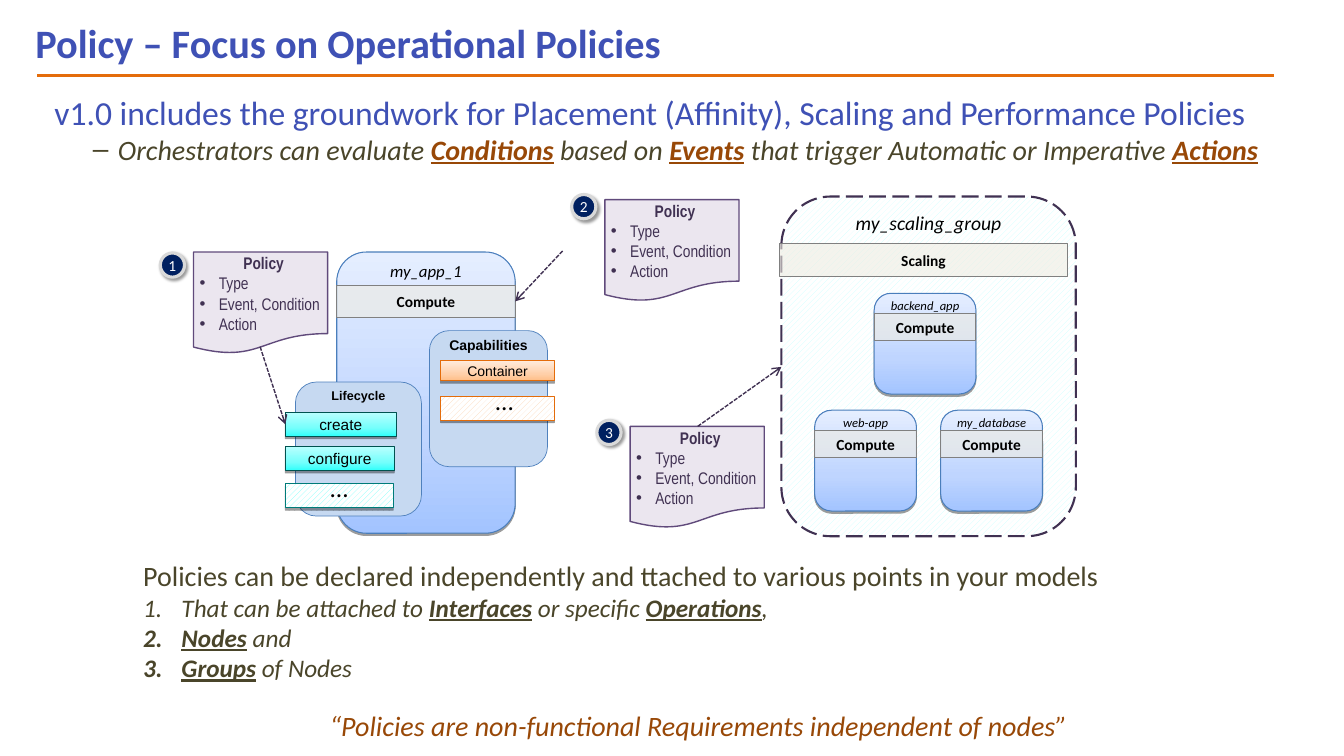
from copy import deepcopy
from dataclasses import dataclass

from lxml.etree import SubElement
from pptx import Presentation
from pptx.dml.color import RGBColor
from pptx.enum.dml import MSO_LINE, MSO_PATTERN
from pptx.enum.shapes import MSO_CONNECTOR, MSO_SHAPE
from pptx.enum.text import MSO_ANCHOR, MSO_AUTO_SIZE, PP_ALIGN
from pptx.oxml.ns import qn
from pptx.util import Inches, Pt


@dataclass(frozen=True)
class Theme:
    blue = "3F51B5"
    orange = "E46C0A"
    rust = "984807"
    olive = "4A452A"
    plum = "403152"
    black = "000000"
    white = "FFFFFF"
    navy = "002060"
    badge_ring = "D9D9D9"
    note_fill, note_line = "E6E0EC", "604A7B"
    bar_fill, bar_line = "EEECE1", "808080"
    panel_fill, panel_line = "C6D9F1", "4F81BD"
    node_line = "4A7EBB"
    node_shades = ("A3C4FF", "BFD5FF", "E5EEFF")
    orange_shades, orange_stripe = ("FFBE86", "FFD0AA", "FFEBDB"), "FCD5B5"
    cyan_shades, cyan_stripe = ("2FFFFB", "75FFFC", "BAFFFE"), "75FFFC"
    cyan_line, cyan_stripe_line = "005250", "007B79"
    group_stripe = "CCFFFF"
    title, lead, body, points = 28.8, 24, 20, 18
    group, note, label, small, tiny = 14, 12, 11, 10, 9
    font, sans, narrow = "Calibri", "Arial", "Arial Narrow"


theme = Theme()
CELL = 0.1  # inches in one grid column or row
LOW_SHADOW = dict(alpha=38, blur=0, distance=1.6, angle=90)
ROUND_SHADOW = dict(alpha=40, blur=2, distance=2, angle=45)


@dataclass(frozen=True)
class Box:
    """A rectangle in grid columns and rows."""
    column: float
    row: float
    columns: float
    rows: float

    def inner(self, column, row, columns, rows):
        return Box(self.column + column, self.row + row, columns, rows)

    def lengths(self):
        return [Inches(cells * CELL) for cells in (self.column, self.row, self.columns, self.rows)]


def color(value):
    return RGBColor.from_string(value)


def write(shape, text, size, ink, font=theme.font, bold=False, italic=False, align=PP_ALIGN.LEFT,
          level=0, bullet=None, indent=0.0, hanging=0.0, accent=None, spacing=None):
    """Add a paragraph; words between asterisks are bold and underlined."""
    frame = shape.text_frame
    para = frame.paragraphs[-1] if not frame.paragraphs[-1].runs else frame.add_paragraph()
    para.alignment, para.level = align, level
    para.space_before = Pt(0)
    if spacing:
        para.line_spacing = spacing
    properties = para._p.get_or_add_pPr()
    properties.set("marL", str(Inches(indent)))
    properties.set("indent", str(-Inches(hanging)))
    if bullet is None:
        SubElement(properties, qn("a:buNone"))
    elif bullet == "number":
        SubElement(properties, qn("a:buFont"), typeface="+mj-lt")
        SubElement(properties, qn("a:buAutoNum"), type="arabicPeriod")
    else:
        SubElement(properties, qn("a:buFont"), typeface=theme.sans)
        SubElement(properties, qn("a:buChar"), char=bullet)
    for position, words in enumerate(text.split("*")):
        if not words:
            continue
        marked = position % 2 == 1
        span = para.add_run()
        span.text = words
        span.font.name, span.font.size = font, Pt(size)
        span.font.bold, span.font.italic, span.font.underline = bold or marked, italic, marked
        span.font.color.rgb = color(accent if marked and accent else ink)


def set_frame(shape, insets=(0.1, 0.05, 0.1, 0.05), anchor=MSO_ANCHOR.TOP, wrap=True,
              size=MSO_AUTO_SIZE.NONE):
    frame = shape.text_frame
    frame.margin_left, frame.margin_top, frame.margin_right, frame.margin_bottom = map(Inches, insets)
    frame.vertical_anchor, frame.word_wrap, frame.auto_size = anchor, wrap, size


def draw(page, kind, box, line, width, fill=None, alpha=None, shades=None, stripe=None,
         shadow=None, dash=None, **frame):
    shape = page.shapes.add_shape(kind, *box.lengths())
    if shades:
        shape.fill.gradient()
        shape.fill.gradient_angle = 90
        first = next(shape._element.spPr.iter(qn("a:gs")))
        first.addnext(deepcopy(first))
        for stop, shade, place_share in zip(shape.fill.gradient_stops, shades, (0, 0.35, 1)):
            stop.color.rgb, stop.position = color(shade), place_share
    elif stripe:
        shape.fill.patterned()
        shape.fill.pattern = MSO_PATTERN.WIDE_UPWARD_DIAGONAL
        shape.fill.fore_color.rgb, shape.fill.back_color.rgb = color(stripe), color(theme.white)
    else:
        shape.fill.solid()
        shape.fill.fore_color.rgb = color(fill)
        if alpha:
            tint = next(shape._element.spPr.iter(qn("a:srgbClr")))
            SubElement(tint, qn("a:alpha"), val=str(alpha * 1000))
    shape.line.color.rgb, shape.line.width = color(line), Pt(width)
    if dash:
        shape.line.dash_style = dash
    shape.shadow.inherit = False
    if shadow:
        effects = shape._element.spPr.find(qn("a:effectLst"))
        outer = SubElement(effects, qn("a:outerShdw"), blurRad=str(Pt(shadow["blur"])),
                           dist=str(Pt(shadow["distance"])), dir=str(shadow["angle"] * 60000),
                           algn="ctr", rotWithShape="0")
        dark = SubElement(outer, qn("a:srgbClr"), val=theme.black)
        SubElement(dark, qn("a:alpha"), val=str(shadow["alpha"] * 1000))
    set_frame(shape, **frame)
    return shape


def draw_line(page, start, end, ink, width, arrow=False):
    ends = [Inches(cells * CELL) for cells in (*start, *end)]
    line = page.shapes.add_connector(MSO_CONNECTOR.STRAIGHT, *ends)
    line.line.color.rgb, line.line.width = color(ink), Pt(width)
    properties = line._element.spPr
    if arrow:
        line.line.dash_style = MSO_LINE.SQUARE_DOT
        SubElement(properties.find(qn("a:ln")), qn("a:tailEnd"), type="arrow")
    SubElement(properties, qn("a:effectLst"))


def draw_bar(page, box, text):
    bar = draw(page, MSO_SHAPE.RECTANGLE, box, theme.bar_line, 0.75, fill=theme.bar_fill, alpha=60,
               insets=(0.1, 0, 0.1, 0), anchor=MSO_ANCHOR.MIDDLE, wrap=False)
    write(bar, text, theme.label, theme.black, bold=True, align=PP_ALIGN.CENTER)


def draw_node(page, box, name, size=theme.tiny, bar_row=2.05, bar_rows=2.6):
    node = draw(page, MSO_SHAPE.ROUNDED_RECTANGLE, box, theme.node_line, 0.75,
                shades=theme.node_shades, shadow=LOW_SHADOW, insets=(0.1, 0, 0.1, 0.05))
    write(node, name, size, theme.black, italic=True, align=PP_ALIGN.CENTER)
    draw_bar(page, box.inner(0, bar_row, box.columns, bar_rows), "Compute")


def draw_chip(page, box, text, line, size, shades):
    chip = draw(page, MSO_SHAPE.RECTANGLE, box, line, 0.75, shades=shades, shadow=LOW_SHADOW,
                insets=(0, 0.05, 0, 0.05), anchor=MSO_ANCHOR.MIDDLE, wrap=False)
    write(chip, text, size, theme.black, font=theme.sans, align=PP_ALIGN.CENTER)


def draw_more_chip(page, box, line, stripe, dots_column):
    draw(page, MSO_SHAPE.RECTANGLE, box, line, 0.75, stripe=stripe, shadow=LOW_SHADOW)
    dots = page.shapes.add_textbox(*box.inner(dots_column, -1.6, 4.2, 4).lengths())
    set_frame(dots, size=MSO_AUTO_SIZE.SHAPE_TO_FIT_TEXT)
    write(dots, "...", theme.points, theme.black)


def draw_panel(page, box, heading, size):
    panel = draw(page, MSO_SHAPE.ROUNDED_RECTANGLE, box, theme.panel_line, 0.5,
                 fill=theme.panel_fill, insets=(0.1, 0, 0.1, 0))
    write(panel, heading, size, theme.black, font=theme.sans, bold=True, align=PP_ALIGN.CENTER)


def draw_application(page, box):
    draw_node(page, box.inner(5.1, 0, 17.7, 27.9), "my_app_1", theme.note, 3.3, 3.2)
    capabilities = box.inner(14.3, 7.8, 11.7, 13.5)
    draw_panel(page, capabilities, "Capabilities", theme.small)
    draw_chip(page, capabilities.inner(1.1, 3, 11.3, 2), "Container", theme.orange, theme.small,
              theme.orange_shades)
    draw_more_chip(page, capabilities.inner(1.1, 6.5, 11.3, 2.4), theme.orange,
                   theme.orange_stripe, 4.4)
    lifecycle = box.inner(1, 12.9, 12.5, 13.3)
    draw_panel(page, lifecycle, "Lifecycle", theme.tiny)
    for name, row, columns in (("create", 3, 11), ("configure", 6.4, 10.8)):
        draw_chip(page, lifecycle.inner(-1, row, columns, 2.4), name, theme.cyan_line, theme.label,
                  theme.cyan_shades)
    draw_more_chip(page, lifecycle.inner(-1, 10.1, 10.7, 2.4), theme.cyan_stripe_line,
                   theme.cyan_stripe, 3.4)


def draw_scaling_group(page, box):
    group = draw(page, MSO_SHAPE.ROUNDED_RECTANGLE, box, theme.plum, 1.5, stripe=theme.group_stripe,
                 dash=MSO_LINE.LONG_DASH, insets=(0.1, 0, 0.1, 0.05))
    write(group, "my_scaling_group", theme.group, theme.black, italic=True, align=PP_ALIGN.CENTER)
    for name, column, row in (("backend_app", 9.2, 9.6), ("my_database", 15.8, 21.2),
                              ("web-app", 3.3, 21.2)):
        draw_node(page, box.inner(column, row, 10.1, 10), name)
    draw_bar(page, box.inner(-0.2, 4.7, 28.6, 3.2), "Scaling")


def draw_policy(page, box, number, badge_row):
    note = draw(page, MSO_SHAPE.FLOWCHART_DOCUMENT, box, theme.note_line, 1, fill=theme.note_fill,
                alpha=80, insets=(0.06, 0.08, 0, 0), anchor=MSO_ANCHOR.BOTTOM, wrap=False)
    write(note, "Policy", theme.note, theme.plum, font=theme.narrow, bold=True,
          align=PP_ALIGN.CENTER)
    for item in ("Type", "Event, Condition", "Action"):
        write(note, item, theme.note, theme.plum, font=theme.narrow, bullet="•",
              indent=0.19, hanging=0.19)
    badge = draw(page, MSO_SHAPE.OVAL, box.inner(-3.3, badge_row, 2.4, 2.4), theme.badge_ring, 2.25,
                 fill=theme.navy, shadow=ROUND_SHADOW, anchor=MSO_ANCHOR.MIDDLE, wrap=False)
    write(badge, str(number), theme.label, theme.white, align=PP_ALIGN.CENTER)


def place(shape, box, **frame):
    shape.left, shape.top, shape.width, shape.height = box.lengths()
    set_frame(shape, **frame)
    return shape


def write_heading(page, box):
    title = place(page.shapes.title, box, anchor=MSO_ANCHOR.MIDDLE)
    write(title, "Policy – Focus on Operational Policies", theme.title, theme.blue, bold=True,
          spacing=0.9)
    draw_line(page, (box.column + 1.2, box.row + 5.8), (box.column + 123.9, box.row + 5.8),
              theme.orange, 2)


def write_summary(page, box):
    summary = place(page.placeholders[1], box)
    write(summary, "v1.0 includes the groundwork for Placement (Affinity), Scaling and "
          "Performance Policies", theme.lead, theme.blue)
    write(summary, "Orchestrators can evaluate *Conditions* based on *Events* that trigger "
          "Automatic or Imperative *Actions*", theme.body, theme.olive, italic=True, level=1,
          bullet="‒", indent=0.63, hanging=0.25, accent=theme.rust)


def write_attachments(page, box):
    points = place(page.placeholders[2], box)
    write(points, "Policies can be declared independently and ttached to various points in your "
          "models", theme.body, theme.olive)
    for item in ("That can be attached to *Interfaces* or specific *Operations*,", "*Nodes* and",
                 "*Groups* of Nodes"):
        write(points, item, theme.points, theme.olive, italic=True, bullet="number",
              indent=0.38, hanging=0.38)


def write_quote(page, box):
    quote = page.shapes.add_textbox(*box.lengths())
    set_frame(quote, size=MSO_AUTO_SIZE.SHAPE_TO_FIT_TEXT)
    write(quote, "“Policies are non-functional Requirements independent of nodes”", theme.body,
          theme.rust, italic=True)


def main():
    deck = Presentation()
    deck.slide_width, deck.slide_height = Inches(13.33), Inches(7.5)
    page = deck.slides.add_slide(deck.slide_layouts.get_by_name("Two Content"))
    write_heading(page, Box(2.5, 1.7, 125.8, 5.6))
    write_summary(page, Box(4.4, 8.6, 124, 13.3))
    write_attachments(page, Box(13.2, 54.9, 111.8, 10))
    draw_application(page, Box(28.3, 25, 26, 27.9))
    draw_scaling_group(page, Box(77.5, 19.5, 29.2, 33.7))
    policies = ((19.2, 25, 0.1, (25.8, 34.4), (28.3, 42.1)),
                (60, 19.8, -0.5, (55.8, 24.9), (51.1, 29.9)),
                (62.5, 42.3, -0.6, (69.2, 42.3), (77.5, 36.4)))
    for number, (column, row, badge_row, start, end) in enumerate(policies, 1):
        draw_policy(page, Box(column, row, 13.3, 10.1), number, badge_row)
        draw_line(page, start, end, theme.plum, 1, arrow=True)
    write_quote(page, Box(31.7, 69.8, 91.7, 4.4))
    deck.save("out.pptx")


if __name__ == "__main__":
    main()
